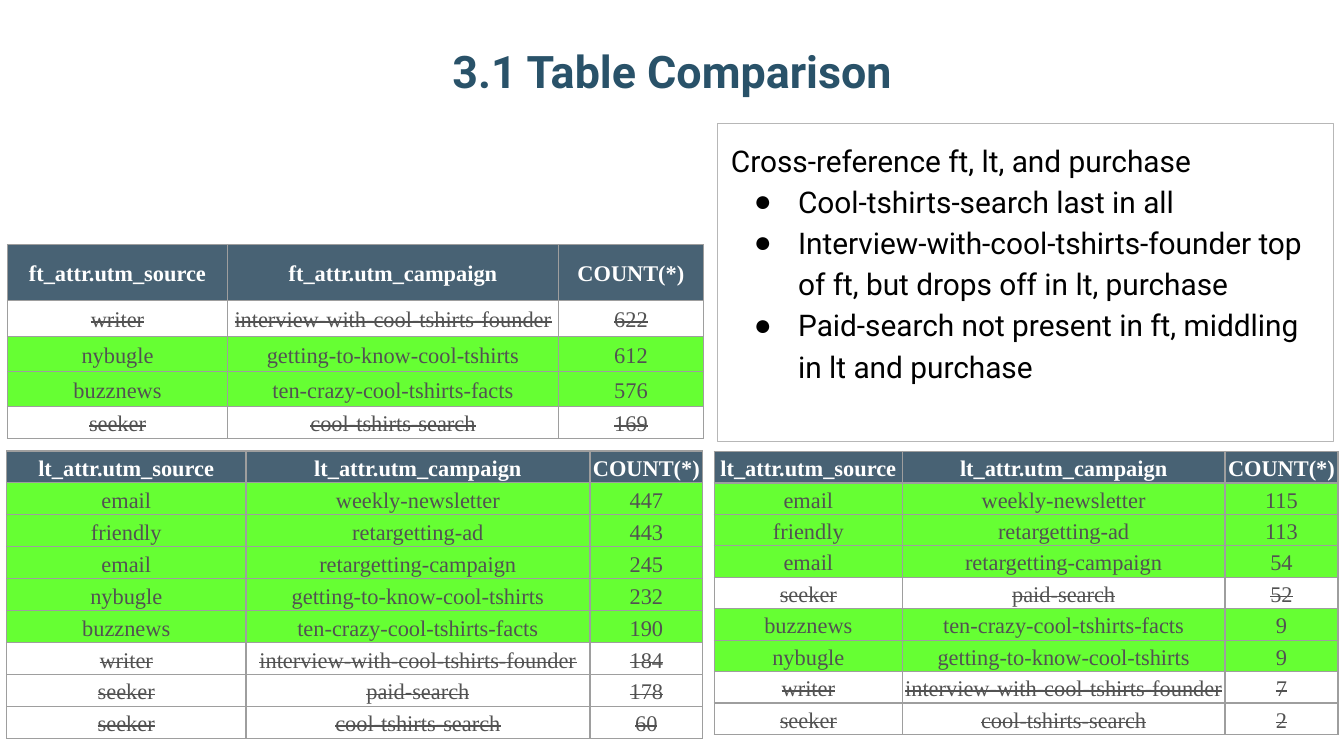
"""Build the table comparison slide."""
from dataclasses import dataclass

from lxml import etree
from pptx import Presentation, util as u
from pptx.dml.color import RGBColor
from pptx.enum import shapes, text
from pptx.oxml import ns


@dataclass(frozen=True)
class Theme:
    title: str = "295269"
    head: str = "204056"
    keep: str = "66FF33"
    body: str = "525252"
    white: str = "FFFFFF"
    black: str = "000000"
    grid: str = "9E9E9E"
    frame: str = "B7B7B7"
    sans: str = "Roboto"
    serif: str = "Times New Roman"
    dot: str = "Arial"
    big: int = 24
    mid: int = 16
    small: int = 12
    line: float = 0.75
    lead: float = 1.15


@dataclass(frozen=True)
class Box:
    col: float
    row: float
    wide: float
    high: float


@dataclass(frozen=True)
class Line:
    source: str
    topic: str
    count: int
    cut: bool = False


@dataclass(frozen=True)
class Grid:
    prefix: str
    col: float
    row: float
    cols: tuple
    rows: tuple
    lines: tuple
    tall: bool = False


THEME = Theme()
WIDE = u.Inches(10)
HIGH = WIDE * 9 // 16
UNIT = WIDE // 100

FOUNDER = "interview-with-cool-tshirts-founder"
KNOW = "getting-to-know-cool-tshirts"
FACTS = "ten-crazy-cool-tshirts-facts"
SHOP = "cool-tshirts-search"
NEWS, AD, MAIL, PAID = "weekly-newsletter", "retargetting-ad", "retargetting-campaign", "paid-search"
BLOG, DAILY, BUZZ, SEEK, SOCIAL = "writer", "nybugle", "buzznews", "seeker", "friendly"

GRIDS = (
    Grid("ft", 0.55, 18.2, (16.4, 24.6, 10.8), (4.1, 2.7, 2.6, 2.6, 2.4), (
        Line(BLOG, FOUNDER, 622, True),
        Line(DAILY, KNOW, 612),
        Line(BUZZ, FACTS, 576),
        Line(SEEK, SHOP, 169, True),
    ), True),
    Grid("lt", 0.5, 33.55, (17.8, 25.6, 8.4), (2.38,) * 9, (
        Line("email", NEWS, 447),
        Line(SOCIAL, AD, 443),
        Line("email", MAIL, 245),
        Line(DAILY, KNOW, 232),
        Line(BUZZ, FACTS, 190),
        Line(BLOG, FOUNDER, 184, True),
        Line(SEEK, PAID, 178, True),
        Line(SEEK, SHOP, 60, True),
    )),
    Grid("lt", 53.15, 33.6, (14, 24, 8.4), (2.34,) * 9, (
        Line("email", NEWS, 115),
        Line(SOCIAL, AD, 113),
        Line("email", MAIL, 54),
        Line(SEEK, PAID, 52, True),
        Line(BUZZ, FACTS, 9),
        Line(DAILY, KNOW, 9),
        Line(BLOG, FOUNDER, 7, True),
        Line(SEEK, SHOP, 2, True),
    )),
)
LEAD = "Cross-reference ft, lt, and purchase"
POINTS = (
    "Cool-tshirts-search last in all",
    "Interview-with-cool-tshirts-founder top of ft, but drops off in lt, purchase",
    "Paid-search not present in ft, middling in lt and purchase",
)


def span(size: float) -> int:
    return round(size * UNIT)


def place(box: Box) -> tuple:
    return tuple(map(span, (box.col, box.row, box.wide, box.high)))


def inset(item, size: float) -> None:
    for side in ("left", "right", "top", "bottom"):
        setattr(item, f"margin_{side}", span(size))


def style(para, face: str, size: int, tint: str, bold: bool = False) -> None:
    font = para.font
    font.name, font.size, font.bold = face, u.Pt(size), bold
    font.color.rgb = RGBColor.from_string(tint)


def add(node, tag: str, **attrs):
    return etree.SubElement(node, ns.qn(tag), attrs)


def edge(cell) -> None:
    props = cell._tc.get_or_add_tcPr()
    for tag in ("a:lnL", "a:lnR", "a:lnT", "a:lnB"):
        line = add(props, tag, w=str(u.Pt(THEME.line)))
        add(add(line, "a:solidFill"), "a:srgbClr", val=THEME.grid)


def paint(cell, tint: str, alpha: int = 100) -> None:
    cell.fill.solid()
    cell.fill.fore_color.rgb = RGBColor.from_string(tint)
    if alpha < 100:
        tone = cell._tc.tcPr.find(ns.qn("a:solidFill"))[0]
        add(tone, "a:alpha", val=str(alpha * 1000))


def fill(cell, words: str, head: bool, cut: bool, tall: bool) -> None:
    edge(cell)
    if head:
        paint(cell, THEME.head, 82)
    elif cut:
        cell.fill.background()
    else:
        paint(cell, THEME.keep)
    inset(cell, 1 if tall else 0.1)
    cell.vertical_anchor = text.MSO_ANCHOR.TOP if tall else text.MSO_ANCHOR.MIDDLE
    para = cell.text_frame.paragraphs[0]
    para.text = words
    para.alignment, para.line_spacing = text.PP_ALIGN.CENTER, THEME.lead
    style(para, THEME.serif, THEME.small, THEME.white if head else THEME.body, head)
    if cut:
        para.runs[0]._r.get_or_add_rPr().set("strike", "sngStrike")


def draw_grid(slide, grid: Grid) -> None:
    box = Box(grid.col, grid.row, sum(grid.cols), sum(grid.rows))
    table = slide.shapes.add_table(len(grid.rows), len(grid.cols), *place(box)).table
    table.first_row = table.horz_banding = False
    for col, size in zip(table.columns, grid.cols):
        col.width = span(size)
    for row, size in zip(table.rows, grid.rows):
        row.height = span(size)
    heads = (f"{grid.prefix}_attr.utm_source", f"{grid.prefix}_attr.utm_campaign", "COUNT(*)")
    for col, words in enumerate(heads):
        fill(table.cell(0, col), words, True, False, grid.tall)
    for row, line in enumerate(grid.lines, 1):
        for col, words in enumerate((line.source, line.topic, str(line.count))):
            fill(table.cell(row, col), words, False, line.cut, False)


def draw_title(slide, words: str, box: Box) -> None:
    title = slide.shapes.title
    title.left, title.top, title.width, title.height = place(box)
    frame = title.text_frame
    frame.text, frame.word_wrap = words, True
    frame.auto_size = text.MSO_AUTO_SIZE.NONE
    frame.vertical_anchor = text.MSO_ANCHOR.BOTTOM
    inset(frame, 1)
    para = frame.paragraphs[0]
    para.alignment = text.PP_ALIGN.CENTER
    style(para, THEME.sans, THEME.big, THEME.title, True)


def draw_notes(slide, box: Box) -> None:
    shape = slide.shapes.add_shape(shapes.MSO_SHAPE.RECTANGLE, *place(box))
    shape.shadow.inherit = False
    shape.fill.background()
    shape.line.color.rgb = RGBColor.from_string(THEME.frame)
    shape.line.width = u.Pt(THEME.line)
    frame = shape.text_frame
    frame.word_wrap, frame.vertical_anchor = True, text.MSO_ANCHOR.TOP
    inset(frame, 1)
    frame.text = "\n".join((LEAD, *POINTS))
    for spot, para in enumerate(frame.paragraphs):
        para.alignment, para.line_spacing = text.PP_ALIGN.LEFT, THEME.lead
        if spot:
            props = para._p.get_or_add_pPr()
            props.set("marL", str(span(5)))
            props.set("indent", str(span(-3.3)))
            add(add(props, "a:buClr"), "a:srgbClr", val=THEME.black)
            add(props, "a:buFont", typeface=THEME.dot)
            add(props, "a:buChar", char="●")
        style(para, THEME.sans, THEME.mid, THEME.black)


def main() -> None:
    deck = Presentation()
    deck.slide_width, deck.slide_height = WIDE, HIGH
    slide = deck.slides.add_slide(deck.slide_layouts[5])
    draw_title(slide, "3.1 Table Comparison", Box(3.4, -0.95, 93.2, 9.2))
    for grid in GRIDS:
        draw_grid(slide, grid)
    draw_notes(slide, Box(53.4, 9.2, 45.8, 23.65))
    deck.save("out.pptx")


if __name__ == "__main__":
    main()
